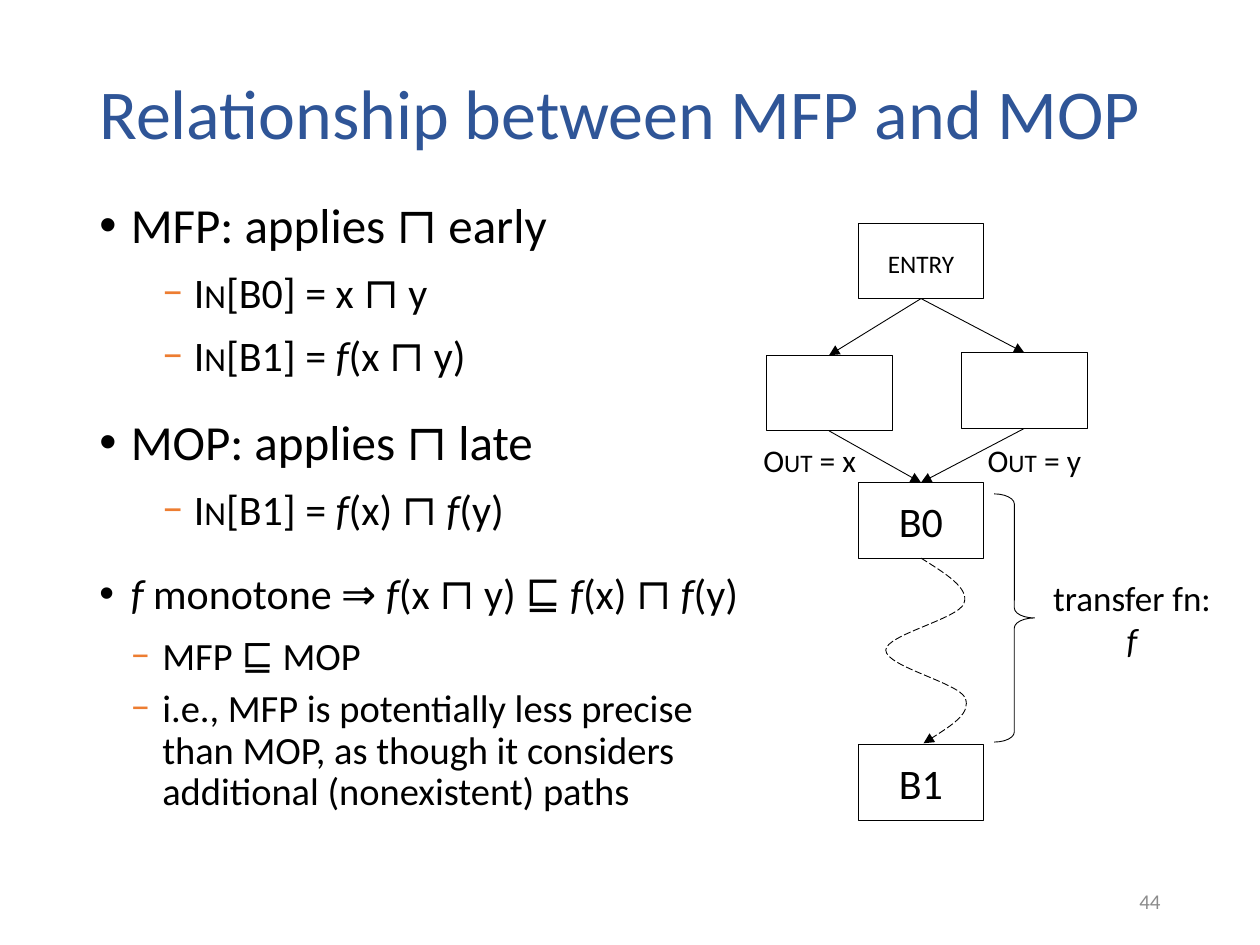
from dataclasses import dataclass
from itertools import groupby

from lxml import etree
from pptx import Presentation
from pptx.dml.color import RGBColor
from pptx.enum.dml import MSO_LINE_DASH_STYLE as Dash
from pptx.enum.shapes import MSO_CONNECTOR as Connector, MSO_SHAPE as Preset
from pptx.enum.text import MSO_ANCHOR as Anchor, MSO_AUTO_SIZE as AutoSize, PP_ALIGN as Align
from pptx.oxml.ns import qn
from pptx.util import Inches, Pt


@dataclass(frozen=True)
class Theme:
    """Colours, fonts and type sizes of the slide."""
    font: str = "Calibri"
    symbol_font: str = "Times New Roman"
    title: str = "2F5597"
    ink: str = "000000"
    accent: str = "ED7D31"
    muted: str = "8C8C8C"
    title_size: int = 40
    topic_size: int = 28
    formula_size: int = 24
    detail_size: int = 22
    note_size: int = 20
    label_size: int = 18
    number_size: int = 12
    line: float = 0.5


THEME = Theme()
SYMBOLS = "⊓⊑"
BLOCK_WIDTH, BLOCK_HEIGHT = 1, 0.6


def write(para, text, size, color=THEME.ink):
    """Write text where *...* is italic and ^...^ is small capitals."""
    italic = small = False
    letters = []
    for letter in text:
        if letter == "*":
            italic = not italic
        elif letter == "^":
            small = not small
        else:
            letters.append((letter, (italic, small, letter in SYMBOLS)))
    for style, group in groupby(letters, key=lambda item: item[1]):
        span = para.add_run()
        span.text = "".join(letter for letter, _ in group)
        span.font.size = Pt(size)
        span.font.color.rgb = RGBColor.from_string(color)
        span.font.italic = style[0]
        span.font.name = THEME.symbol_font if style[2] else THEME.font
        if style[1]:
            span.font._element.set("cap", "small")


def add_text(page, at, lines, size, color=THEME.ink, align=Align.LEFT,
             anchor=Anchor.TOP, wrap=True):
    """Add a text box with one paragraph for each line and return its frame."""
    frame = page.shapes.add_textbox(*map(Inches, at)).text_frame
    frame.word_wrap = wrap
    frame.auto_size = AutoSize.NONE if wrap else AutoSize.SHAPE_TO_FIT_TEXT
    frame.vertical_anchor = anchor
    for index, line in enumerate(lines):
        para = frame.add_paragraph() if index else frame.paragraphs[0]
        para.alignment = align
        write(para, line, size, color)
    return frame


def add_bullet(para, text, size, level, indent, before, after):
    """Fill a paragraph as a bullet item, with a coloured dash if it is a sub-item."""
    write(para, text, size)
    para.level = level
    para.line_spacing = 0.9
    para.space_before, para.space_after = Pt(before), Pt(after)
    props = para._p.get_or_add_pPr()
    props.set("marL", str(Inches(indent)))
    props.set("indent", str(Inches(-0.25)))
    is_topic = indent == 0.25
    if not is_topic:
        color = etree.SubElement(props, qn("a:buClr"))
        etree.SubElement(color, qn("a:srgbClr"), val=THEME.accent)
    etree.SubElement(props, qn("a:buFont"), typeface="Arial" if is_topic else THEME.font)
    etree.SubElement(props, qn("a:buChar"), char="•" if is_topic else "−")


def outline(shape):
    """Give a shape a thin line, no fill and no shadow."""
    shape.shadow.inherit = False
    shape.fill.background()
    shape.line.color.rgb = RGBColor.from_string(THEME.ink)
    shape.line.width = Pt(THEME.line)


def add_arrowhead(shape):
    """End the line of a shape in a triangle."""
    etree.SubElement(shape.line._get_or_add_ln(), qn("a:tailEnd"), type="triangle")


def add_block(page, left, top, label="", size=THEME.formula_size):
    """Add a basic block and return its top and bottom middle points."""
    box = page.shapes.add_shape(
        Preset.RECTANGLE, *map(Inches, (left, top, BLOCK_WIDTH, BLOCK_HEIGHT)))
    outline(box)
    if label:
        box.text_frame.vertical_anchor = Anchor.MIDDLE
        para = box.text_frame.paragraphs[0]
        para.alignment = Align.CENTER
        write(para, label, size)
    middle = left + BLOCK_WIDTH / 2
    return (middle, top), (middle, top + BLOCK_HEIGHT)


def add_arrow(page, start, end):
    """Add a straight arrow between two points."""
    arrow = page.shapes.add_connector(Connector.STRAIGHT, *map(Inches, start + end))
    arrow.line.color.rgb = RGBColor.from_string(THEME.ink)
    arrow.line.width = Pt(THEME.line)
    add_arrowhead(arrow)
    etree.SubElement(arrow._element.spPr, qn("a:effectLst"))


def add_curved_arrow(page, start, controls):
    """Add a dashed arrow of cubic curves, three points to a curve."""
    builder = page.shapes.build_freeform(*map(Inches, start), scale=1.0)
    builder.add_line_segments([tuple(map(Inches, point)) for point in controls], close=False)
    curve = builder.convert_to_shape()
    outline(curve)
    curve.line.dash_style = Dash.LONG_DASH
    add_arrowhead(curve)
    segments = list(curve._element.iter(qn("a:lnTo")))
    track = segments[0].getparent()
    for first in range(0, len(segments), 3):
        cubic = etree.SubElement(track, qn("a:cubicBezTo"))
        for segment in segments[first:first + 3]:
            cubic.append(segment[0])
            track.remove(segment)


def add_comparison(page):
    """Add the bullet list that compares the two solutions."""
    topic, formula, detail = THEME.topic_size, THEME.formula_size, THEME.detail_size
    items = [
        ("MFP: applies ⊓ early", topic, 0, 0.25, 10, 5),
        ("^In^[B0] = x ⊓ y", formula, 1, 0.75, 5, 5),
        ("^In^[B1] = *f*(x ⊓ y)", formula, 1, 0.75, 5, 12),
        ("MOP: applies ⊓ late", topic, 0, 0.25, 10, 5),
        ("^In^[B1] = *f*(x) ⊓ *f*(y)", formula, 1, 0.75, 5, 12),
        ("*f* monotone ⇒ *f*(x ⊓ y) ⊑ *f*(x) ⊓ *f*(y)", formula, 1, 0.25, 10, 5),
        ("MFP ⊑ MOP", detail, 2, 0.5, 6, 0),
        ("i.e., MFP is potentially less precise than MOP, as though it considers "
         "additional (nonexistent) paths", detail, 2, 0.5, 6, 0),
    ]
    frame = add_text(page, (0.69, 1.55, 5.46, 5.21), [], topic)
    for index, item in enumerate(items):
        para = frame.add_paragraph() if index else frame.paragraphs[0]
        add_bullet(para, *item)


def add_flow_graph(page):
    """Add the control flow graph with its labels."""
    _, entry_out = add_block(page, 6.81, 1.77, "^entry^", THEME.label_size)
    merge_in, merge_out = add_block(page, 6.81, 3.83, "B0")
    last_in, _ = add_block(page, 6.81, 5.91, "B1")
    for left, top, label_left, value in ((6.08, 2.82, 5.96, "x"), (7.63, 2.8, 7.74, "y")):
        branch_in, branch_out = add_block(page, left, top)
        add_arrow(page, entry_out, branch_in)
        add_arrow(page, branch_out, merge_in)
        add_text(page, (label_left, 3.45, 0.95, 0.4), [f"^Out^ = {value}"],
                 THEME.label_size, wrap=False)
    add_curved_arrow(page, merge_out, [
        (7.5, 4.55), (7.7, 4.67), (7.65, 4.79),
        (7.61, 4.91), (7.03, 5.04), (7.03, 5.16),
        (7.03, 5.29), (7.61, 5.42), (7.66, 5.54),
        (7.71, 5.66), (7.52, 5.78), (last_in[0] + 0.02, last_in[1] - 0.01)])
    brace = page.shapes.add_shape(Preset.RIGHT_BRACE, *map(Inches, (7.89, 3.92, 0.32, 1.97)))
    outline(brace)
    brace.adjustments[0] = 0.25
    add_text(page, (8.22, 4.53, 1.53, 0.77), ["transfer fn:", "*f*"], THEME.note_size,
             align=Align.CENTER, wrap=False)


def main():
    """Build the slide and save it."""
    deck = Presentation()
    deck.slide_width, deck.slide_height = Inches(10), Inches(7.5)
    page = deck.slides.add_slide(deck.slide_layouts[6])
    title = add_text(page, (0.69, 0.4, 8.62, 1.05), ["Relationship between MFP and MOP"],
                     THEME.title_size, THEME.title, anchor=Anchor.MIDDLE)
    title.paragraphs[0].line_spacing = 0.9
    add_text(page, (7.06, 6.95, 2.25, 0.4), ["44"], THEME.number_size, THEME.muted,
             Align.RIGHT, Anchor.MIDDLE)
    add_flow_graph(page)
    add_comparison(page)
    deck.save("out.pptx")


main()
